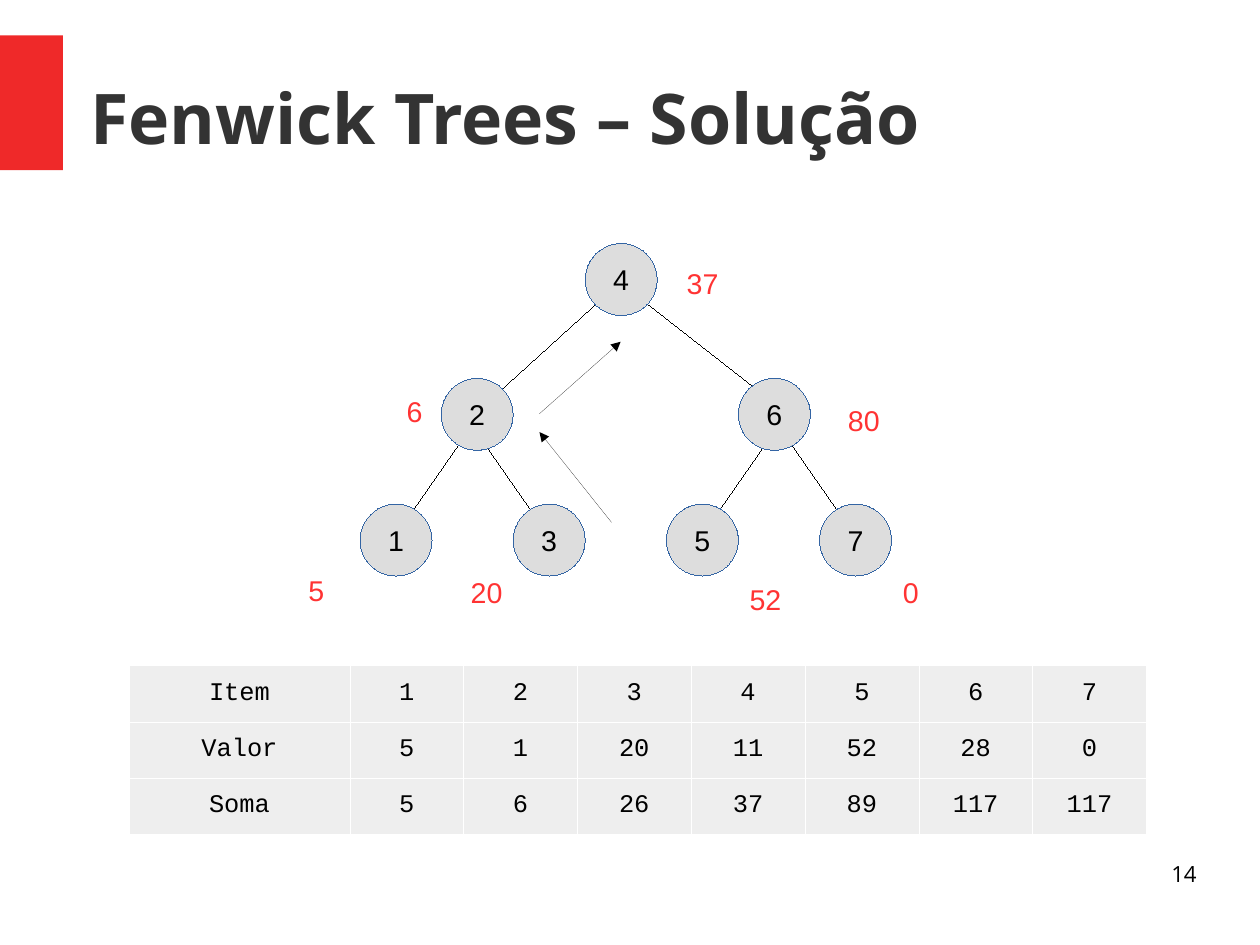
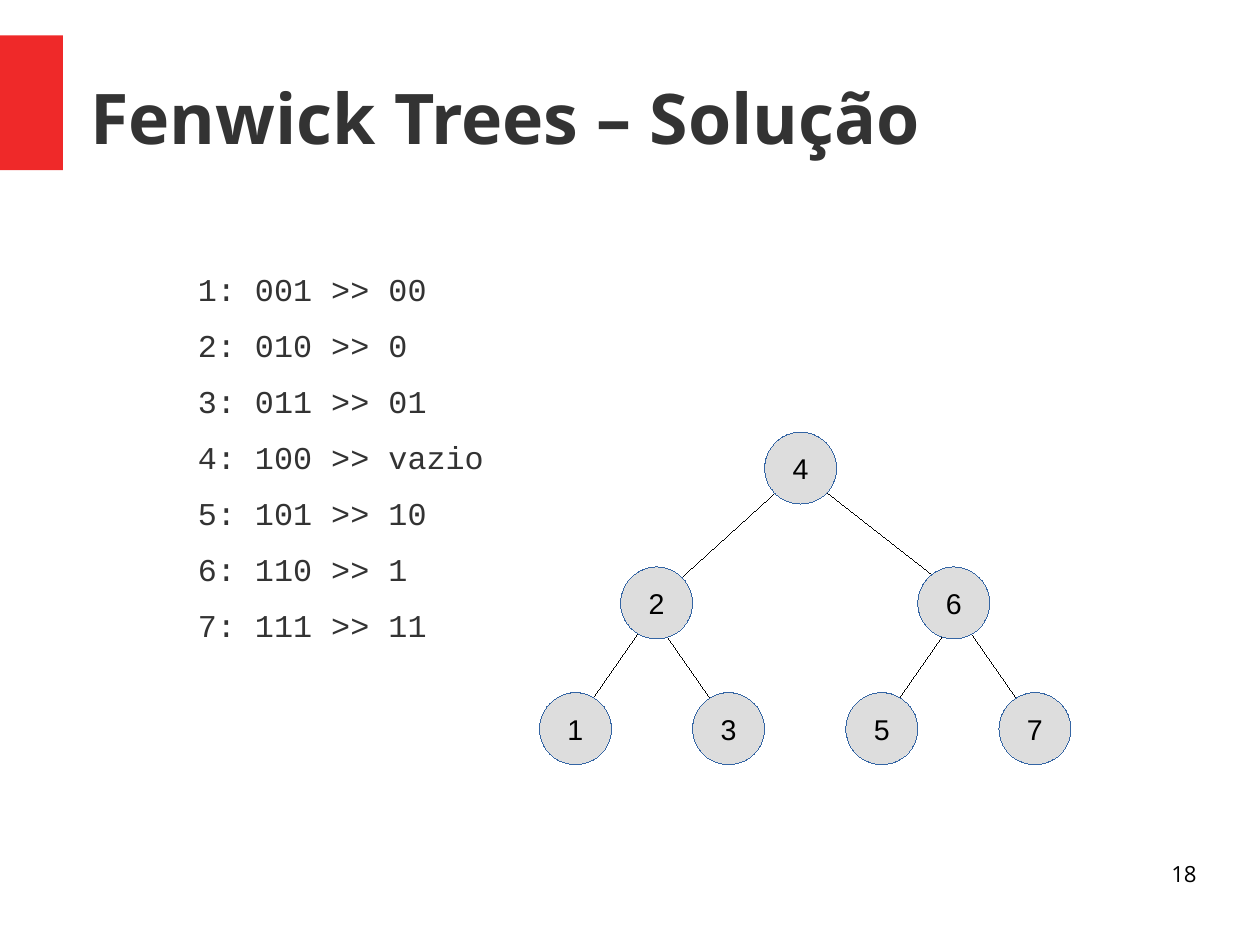
from lxml import etree
from pptx import Presentation, util as u
from pptx.dml.color import RGBColor
from pptx.enum import shapes, text
from pptx.oxml.ns import qn

rgb = RGBColor.from_string
Inches = u.Inches
RED, DARK, BLACK, WHITE = "EF2929", "333333", "000000", "FFFFFF"
GREY, BLUE, LABEL, CELL = "DDDDDD", "3465A4", "FF3333", "EEEEEE"
ALIGN, ANCHOR = text.PP_ALIGN, text.MSO_ANCHOR
NODE = 0.63


def write(tf, lines, size, font, color, align=ALIGN.LEFT, inset=True):
    if not inset:
        tf.margin_left = tf.margin_right = tf.margin_top = tf.margin_bottom = 0
    for i, line in enumerate(lines):
        p = tf.add_paragraph() if i else tf.paragraphs[0]
        p.text = line
        p.alignment = align
        p.font.size = u.Pt(size)
        p.font.name = font
        p.font.color.rgb = rgb(color)


def connect(s, x1, y1, x2, y2, arrow=False):
    line = s.shapes.add_connector(shapes.MSO_CONNECTOR.STRAIGHT,
                                  Inches(x1), Inches(y1), Inches(x2), Inches(y2))
    line.line.color.rgb = rgb(BLACK)
    ln = line._element.spPr.find(qn("a:ln"))
    ln.set("w", "0")
    if arrow:
        etree.SubElement(ln, qn("a:tailEnd"), type="triangle")
    etree.SubElement(line._element.spPr, qn("a:effectLst"))


nodes = {4: (1.97, 0), 2: (0.71, 1.18), 6: (3.31, 1.18),
         1: (0, 2.28), 3: (1.34, 2.28), 5: (2.68, 2.28), 7: (4.02, 2.28)}
edges = [(2.13, 0.47, 1.18, 1.33), (2.44, 0.47, 3.54, 1.33)]
for x in (0.94, 3.62):
    edges += [(x, 1.65, x - 0.55, 2.44), (x + 0.08, 1.65, x + 0.63, 2.44)]

prs = Presentation()
prs.slide_width, prs.slide_height = u.Cm(28), u.Cm(21)

slides = []
for number, left, top in (("14", 3.15, 2.13), ("18", 4.72, 3.78)):
    s = prs.slides.add_slide(prs.slide_layouts[5])
    slides.append(s)

    band = s.shapes.add_shape(shapes.MSO_SHAPE.RECTANGLE,
                              0, Inches(0.31), Inches(0.55), Inches(1.18))
    band.shadow.inherit = False
    band.fill.solid()
    band.fill.fore_color.rgb = rgb(RED)
    band.line.fill.background()

    title = s.shapes.title
    title.left, title.top = Inches(0.79), Inches(0.33)
    title.width, title.height = Inches(9.68), Inches(1.38)
    tf = title.text_frame
    tf.auto_size = text.MSO_AUTO_SIZE.NONE
    tf.vertical_anchor = ANCHOR.MIDDLE
    write(tf, ["Fenwick Trees – Solução"], 44, "Open Sans", DARK, inset=False)
    tf.paragraphs[0].font.bold = True

    for x1, y1, x2, y2 in edges:
        connect(s, left + x1, top + y1, left + x2, top + y2)
    for key, (x, y) in nodes.items():
        node = s.shapes.add_shape(shapes.MSO_SHAPE.OVAL, Inches(left + x),
                                  Inches(top + y), Inches(NODE), Inches(NODE))
        node.shadow.inherit = False
        node.fill.solid()
        node.fill.fore_color.rgb = rgb(GREY)
        node.line.color.rgb = rgb(BLUE)
        node._element.spPr.find(qn("a:ln")).set("w", "0")
        tf = node.text_frame
        tf.word_wrap = False
        tf.vertical_anchor = ANCHOR.MIDDLE
        write(tf, [str(key)], 18, "Arial", BLACK, ALIGN.CENTER)

    page = s.shapes.add_textbox(Inches(7.9), Inches(7.53), Inches(2.57), Inches(0.57))
    page.text_frame.word_wrap = True
    write(page.text_frame, [number], 14, "Open Sans", BLACK, ALIGN.RIGHT, inset=False)

sums, codes = slides

for label, x, y in (("37", 5.91, 2.28), ("6", 3.46, 3.4), ("80", 7.32, 3.48),
                    ("5", 2.6, 4.96), ("20", 4.02, 4.98), ("52", 6.46, 5.04),
                    ("0", 7.8, 4.98)):
    box = sums.shapes.add_textbox(Inches(x), Inches(y), Inches(0.55), Inches(0.38))
    box.text_frame.word_wrap = True
    write(box.text_frame, [label], 18, "Arial", LABEL)

connect(sums, 5.35, 4.57, 4.72, 3.78, arrow=True)
connect(sums, 4.72, 3.62, 5.43, 2.99, arrow=True)

rows = [["Item", 1, 2, 3, 4, 5, 6, 7],
        ["Valor", 5, 1, 20, 11, 52, 28, 0],
        ["Soma", 5, 6, 26, 37, 89, 117, 117]]
table = sums.shapes.add_table(len(rows), len(rows[0]), Inches(1.13), Inches(5.82),
                              Inches(8.9), Inches(1.48)).table
table.first_row = table.horz_banding = False
for i, col in enumerate(table.columns):
    col.width = Inches((8.9 - 1.93) / 7 if i else 1.93)
for r, values in enumerate(rows):
    for c, value in enumerate(values):
        cell = table.cell(r, c)
        cell.vertical_anchor = ANCHOR.MIDDLE
        tcPr = cell._tc.get_or_add_tcPr()
        for side in ("a:lnL", "a:lnR", "a:lnT", "a:lnB"):
            ln = etree.SubElement(tcPr, qn(side), w=str(u.Pt(0.06)))
            fill = etree.SubElement(ln, qn("a:solidFill"))
            etree.SubElement(fill, qn("a:srgbClr"), val=WHITE)
        cell.fill.solid()
        cell.fill.fore_color.rgb = rgb(CELL)
        write(cell.text_frame, [str(value)], 16, "Courier New", BLACK, ALIGN.CENTER)

body = codes.shapes.add_textbox(Inches(0.79), Inches(2.36), Inches(9.45), Inches(4.8))
tf = body.text_frame
tf.word_wrap = True
write(tf, ["1: 001 >> 00", "2: 010 >> 0", "3: 011 >> 01", "4: 100 >> vazio",
           "5: 101 >> 10", "6: 110 >> 1", "7: 111 >> 11"],
      20, "Courier New", DARK, inset=False)
for p in tf.paragraphs:
    p.space_after = u.Pt(11.3)
    p._p.get_or_add_pPr().set("marL", str(Inches(0.94)))

prs.save("out.pptx")
